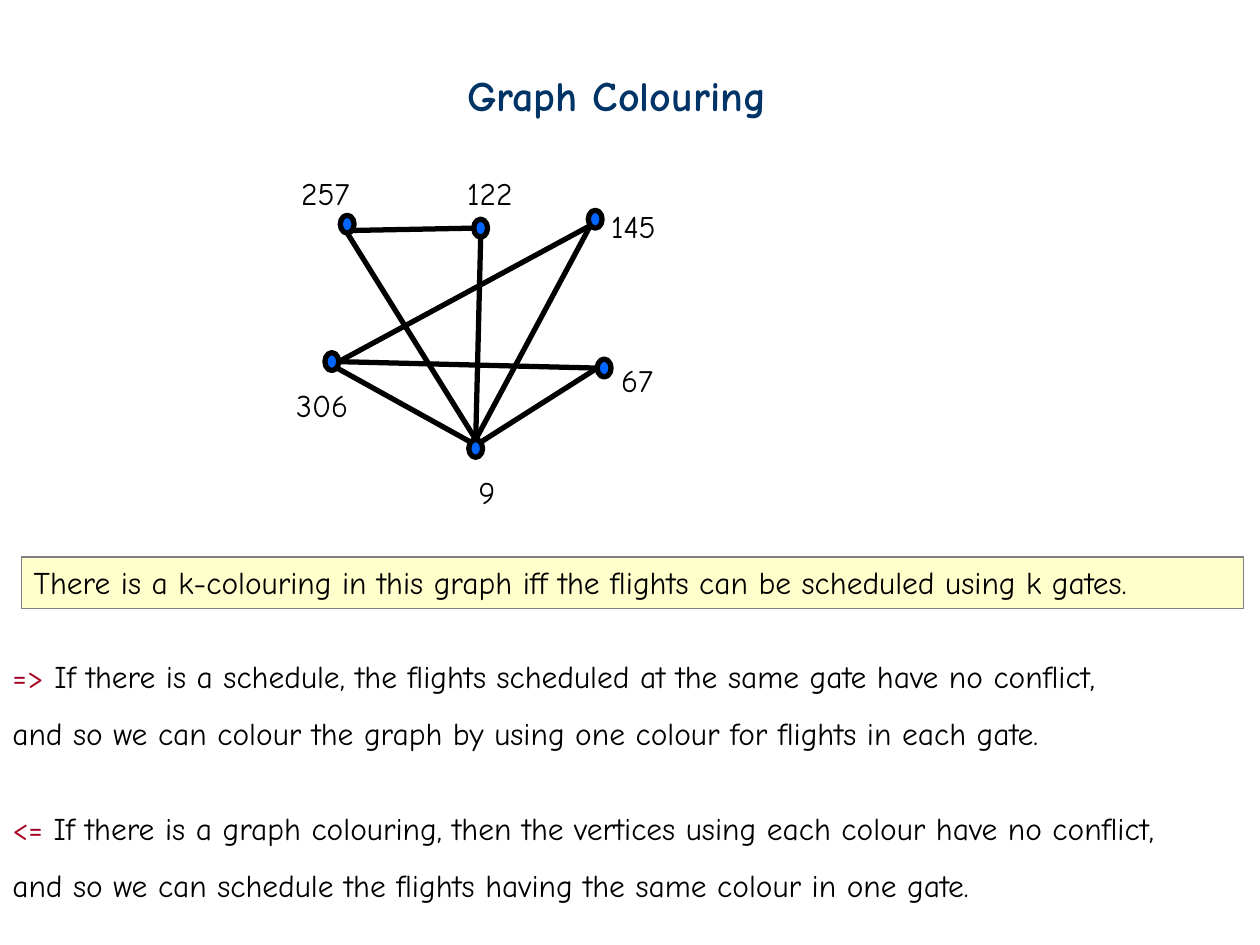
from lxml import etree
from pptx import Presentation
from pptx.dml.color import RGBColor
from pptx.enum.shapes import MSO_CONNECTOR, MSO_SHAPE
from pptx.enum.text import MSO_ANCHOR, MSO_AUTO_SIZE, PP_ALIGN
from pptx.oxml.ns import qn
from pptx.util import Cm, Pt

OVAL, RECTANGLE = MSO_SHAPE.OVAL, MSO_SHAPE.RECTANGLE
STRAIGHT = MSO_CONNECTOR.STRAIGHT
TOP_ANCHOR, LEFT_ALIGN = MSO_ANCHOR.TOP, PP_ALIGN.LEFT
GROW = MSO_AUTO_SIZE.SHAPE_TO_FIT_TEXT

BLACK = RGBColor(0x00, 0x00, 0x00)
NAVY = RGBColor(0x00, 0x33, 0x66)
BLUE = RGBColor(0x00, 0x66, 0xFF)
CREAM = RGBColor(0xFF, 0xFF, 0xCC)
GRAY = RGBColor(0x80, 0x80, 0x80)
RED = RGBColor(0xA5, 0x00, 0x21)

FONT = "Comic Neue"
RADIUS_X, RADIUS_Y = 0.14, 0.18

TITLE = "Graph Colouring"
CLAIM = ("There is a k-colouring in this graph iff the flights "
         "can be scheduled using k gates.")
PROOF = [
    ([("=> ", RED),
      ("If there is a schedule, the flights scheduled at the same gate have no conflict,", BLACK)],
     {}),
    ([("and so we can colour the graph by using one colour for flights in each gate.", BLACK)],
     {"line_spacing": 1.5}),
    ([("<=", RED),
      (" If there is a graph colouring, then the vertices using each colour have no conflict,", BLACK)],
     {"space_before": Pt(32.5)}),
    ([("and so we can schedule the flights having the same colour in one gate.", BLACK)],
     {"line_spacing": 1.5}),
]

# flight: (vertex centre, label box)
FLIGHTS = {
    "257": ((7.0, 4.52), (5.82, 3.38, 1.68, 1.02)),
    "122": ((9.69, 4.6), (9.17, 3.38, 1.57, 1.02)),
    "306": ((6.69, 7.29), (5.72, 7.65, 1.68, 1.02)),
    "67": ((12.18, 7.42), (12.27, 7.16, 1.3, 1.02)),
    "145": ((12.0, 4.42), (12.07, 4.04, 1.57, 1.02)),
    "9": ((9.59, 9.04), (9.4, 9.42, 0.94, 1.02)),
}

TOP, BOTTOM, LEFT, RIGHT = (0, -1), (0, 1), (-1, 0), (1, 0)
UPPER_LEFT, UPPER_RIGHT = (-0.7, -0.7), (0.7, -0.7)
LOWER_LEFT, LOWER_RIGHT = (-0.7, 0.7), (0.7, 0.7)
CONFLICTS = [
    ("306", RIGHT, "145", LOWER_LEFT),
    ("306", RIGHT, "67", LEFT),
    ("257", LOWER_RIGHT, "122", LEFT),
    ("257", BOTTOM, "9", TOP),
    ("9", TOP, "122", BOTTOM),
    ("9", TOP, "145", LOWER_LEFT),
    ("9", UPPER_RIGHT, "67", LEFT),
    ("306", LOWER_RIGHT, "9", UPPER_LEFT),
]


def apply(target, values):
    for name, value in values.items():
        setattr(target, name, value)


def write(shape, paragraphs, size=18, bold=False, wrap=False):
    frame = shape.text_frame
    apply(frame, {"word_wrap": wrap, "auto_size": GROW, "vertical_anchor": TOP_ANCHOR})
    for index, (runs, spacing) in enumerate(paragraphs):
        paragraph = frame.add_paragraph() if index else frame.paragraphs[0]
        apply(paragraph, {"alignment": LEFT_ALIGN, **spacing})
        for words, colour in runs:
            run = paragraph.add_run()
            run.text = words
            apply(run.font, {"name": FONT, "size": Pt(size), "bold": bold})
            run.font.color.rgb = colour


def add_text(slide, box, paragraphs, **style):
    write(slide.shapes.add_textbox(*map(Cm, box)), paragraphs, **style)


def add_filled(slide, kind, box, fill, line, width):
    shape = slide.shapes.add_shape(kind, *map(Cm, box))
    shape.shadow.inherit = False
    shape.fill.solid()
    shape.fill.fore_color.rgb = fill
    shape.line.color.rgb = line
    shape.line.width = Pt(width)
    return shape


def edge_point(flight, side):
    (x, y), _ = FLIGHTS[flight]
    return Cm(x + side[0] * RADIUS_X), Cm(y + side[1] * RADIUS_Y)


def add_conflict(slide, first, first_side, second, second_side):
    edge = slide.shapes.add_connector(
        STRAIGHT, *edge_point(first, first_side), *edge_point(second, second_side))
    edge.line.color.rgb = BLACK
    edge.line.width = Pt(3)
    etree.SubElement(edge._element.spPr, qn("a:effectLst"))


def main():
    deck = Presentation()
    deck.slide_width, deck.slide_height = Cm(25.4), Cm(19.05)
    slide = deck.slides.add_slide(deck.slide_layouts[6])

    for flight, ((x, y), label_box) in FLIGHTS.items():
        add_text(slide, label_box, [([(flight, BLACK)], {})])
        vertex_box = (x - RADIUS_X, y - RADIUS_Y, 2 * RADIUS_X, 2 * RADIUS_Y)
        add_filled(slide, OVAL, vertex_box, BLUE, BLACK, 3)
    for conflict in CONFLICTS:
        add_conflict(slide, *conflict)

    add_text(slide, (9.17, 1.27, 6.91, 1.27), [([(TITLE, NAVY)], {})], size=24, bold=True)
    claim = add_filled(slide, RECTANGLE, (0.43, 11.23, 24.64, 1.04), CREAM, GRAY, 0.75)
    write(claim, [([(CLAIM, BLACK)], {})], wrap=True)
    add_text(slide, (0, 13.13, 25.4, 5.23), PROOF, wrap=True)

    deck.save("out.pptx")


if __name__ == "__main__":
    main()
